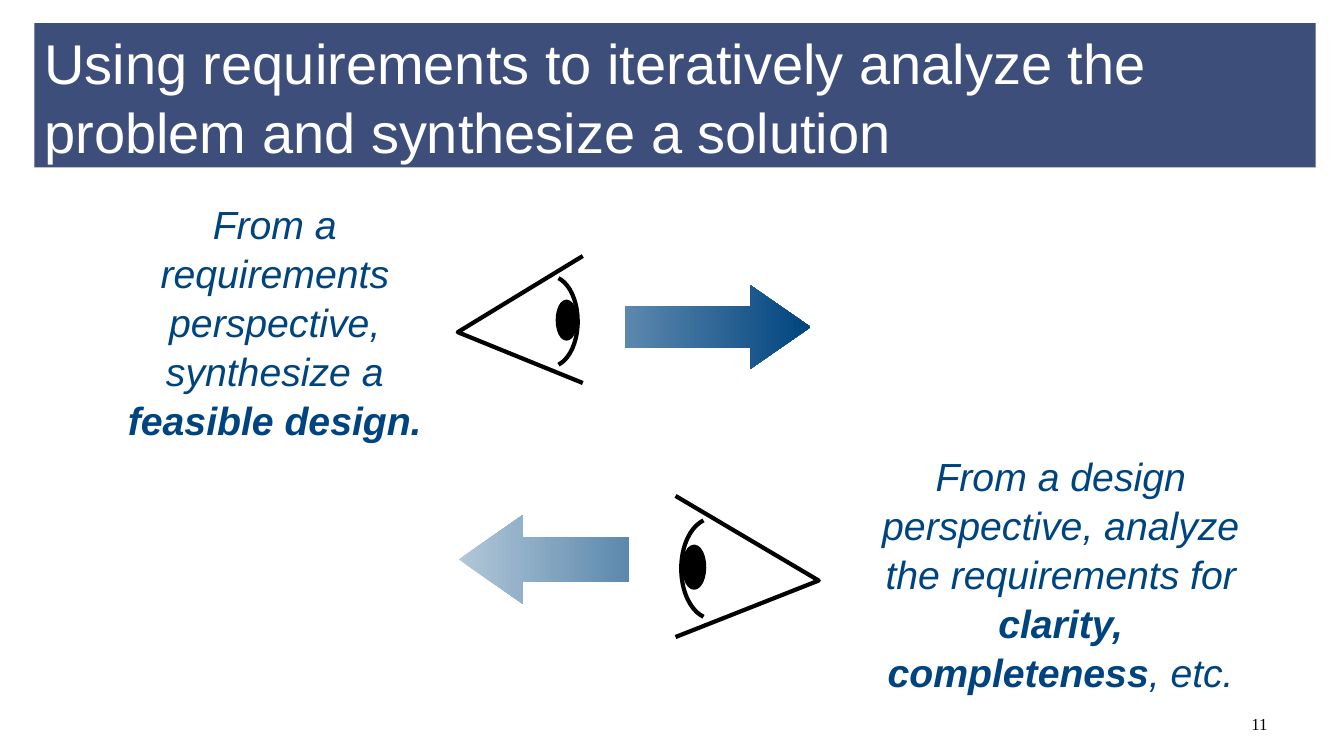
import pptx
import pptx.dml.color
import pptx.enum.shapes
import pptx.enum.text
import pptx.util
from pptx.oxml.ns import qn

Inches, Pt = pptx.util.Inches, pptx.util.Pt
SHAPE = pptx.enum.shapes.MSO_SHAPE
ALIGN = pptx.enum.text.PP_ALIGN
ANCHOR = pptx.enum.text.MSO_ANCHOR
NAVY, PALE, MID, BLACK = "00447F", "B2C7D8", "5C88AD", "000000"
LEADING = 1.045


def color(hex_code):
    return pptx.dml.color.RGBColor.from_string(hex_code)


def style_text(run, size, hex_code, font="Arial"):
    run.font.name, run.font.size = font, Pt(size)
    run.font.color.rgb = color(hex_code)


deck = pptx.Presentation()
deck.slide_width, deck.slide_height = Inches(13.33), Inches(7.5)
slide = deck.slides.add_slide(deck.slide_layouts[5])
shapes = slide.shapes

# Title bar
title = shapes.title
title.left, title.top, title.width, title.height = map(Inches, (0.34, 0.23, 12.71, 1.43))
title.fill.solid()
title.fill.fore_color.rgb = color("3D4E7B")
title.text_frame.text = "Using requirements to iteratively analyze the problem and synthesize a solution"
title.text_frame.vertical_anchor = ANCHOR.MIDDLE
heading = title.text_frame.paragraphs[0]
heading.alignment, heading.line_spacing = ALIGN.LEFT, LEADING
style_text(heading.runs[0], 40, "FFFFFF")

# Arrows: preset, box, gradient from left to right
arrows = [
    (SHAPE.RIGHT_ARROW, (6.2, 2.83, 1.84, 0.83), (MID, NAVY)),
    (SHAPE.LEFT_ARROW, (4.55, 5.11, 1.69, 0.88), (PALE, MID)),
]
for preset, box, ends in arrows:
    arrow = shapes.add_shape(preset, *map(Inches, box))
    arrow.shadow.inherit = False
    arrow.adjustments[0], arrow.adjustments[1] = 0.5, 0.72
    arrow.line.fill.background()
    arrow.fill.gradient()
    arrow.fill.gradient_angle = 0
    for stop, end, position in zip(arrow.fill.gradient_stops, ends, (0, 1)):
        stop.color.rgb, stop.position = color(end), position

# Eyes: box, looking right or left; parts are shares of the box from its open side
BALL = (0.04, 0.16, 0.43, 0.71)
PUPIL = (0.06, 0.36, 0.14, 0.29)
eyes = [((4.54, 2.54, 1.24, 1.26), True), ((6.7, 4.92, 1.42, 1.4), False)]
for (left, top, width, height), looks_right in eyes:
    open_x, tip_x = (left + width, left) if looks_right else (left, left + width)
    lids = shapes.build_freeform(Inches(open_x), Inches(top))
    lids.add_line_segments(
        [(Inches(tip_x), Inches(top + 0.6 * height)), (Inches(open_x), Inches(top + height))],
        close=False)
    parts = [lids.convert_to_shape()]
    for preset, (x, y, w, h) in ((SHAPE.ARC, BALL), (SHAPE.OVAL, PUPIL)):
        share = 1 - x - w if looks_right else x
        parts.append(shapes.add_shape(
            preset, Inches(left + share * width), Inches(top + y * height),
            Inches(w * width), Inches(h * height)))
    outline, ball, pupil = parts
    # Arc angles count in 60000ths of a degree, scaled by 100000
    for index, degrees in enumerate((280, 80) if looks_right else (100, 260)):
        ball.adjustments[index] = degrees * 0.6
    for part in parts:
        part.shadow.inherit = False
        part.fill.background()
        part.line.color.rgb, part.line.width = color(BLACK), Pt(3)
    pupil.fill.solid()
    pupil.fill.fore_color.rgb = color(BLACK)

# Perspectives: box, runs with their weight
perspectives = [
    ((1.1, 1.92, 3.25, 2.46),
     [("From a requirements perspective, synthesize a ", False), ("feasible design.", True)]),
    ((8.48, 4.42, 4.08, 2.46),
     [("From a design perspective, analyze the requirements for ", False),
      ("clarity, completeness", True), (", etc.", False)]),
]
for box, phrases in perspectives:
    frame = shapes.add_textbox(*map(Inches, box)).text_frame
    frame.word_wrap = True
    statement = frame.paragraphs[0]
    statement.alignment, statement.line_spacing = ALIGN.CENTER, LEADING
    for words, bold in phrases:
        phrase = statement.add_run()
        phrase.text = words
        style_text(phrase, 28, NAVY)
        phrase.font.italic, phrase.font.bold = True, bold

# Slide number
footer = shapes.add_textbox(*map(Inches, (9.56, 6.83, 3.11, 0.5))).text_frame
footer.word_wrap = True
footer.vertical_anchor = ANCHOR.BOTTOM
footer.text = "11"
footer.paragraphs[0].alignment = ALIGN.RIGHT
style_text(footer.paragraphs[0].runs[0], 12, BLACK, "Times New Roman")

deck.save("out.pptx")
